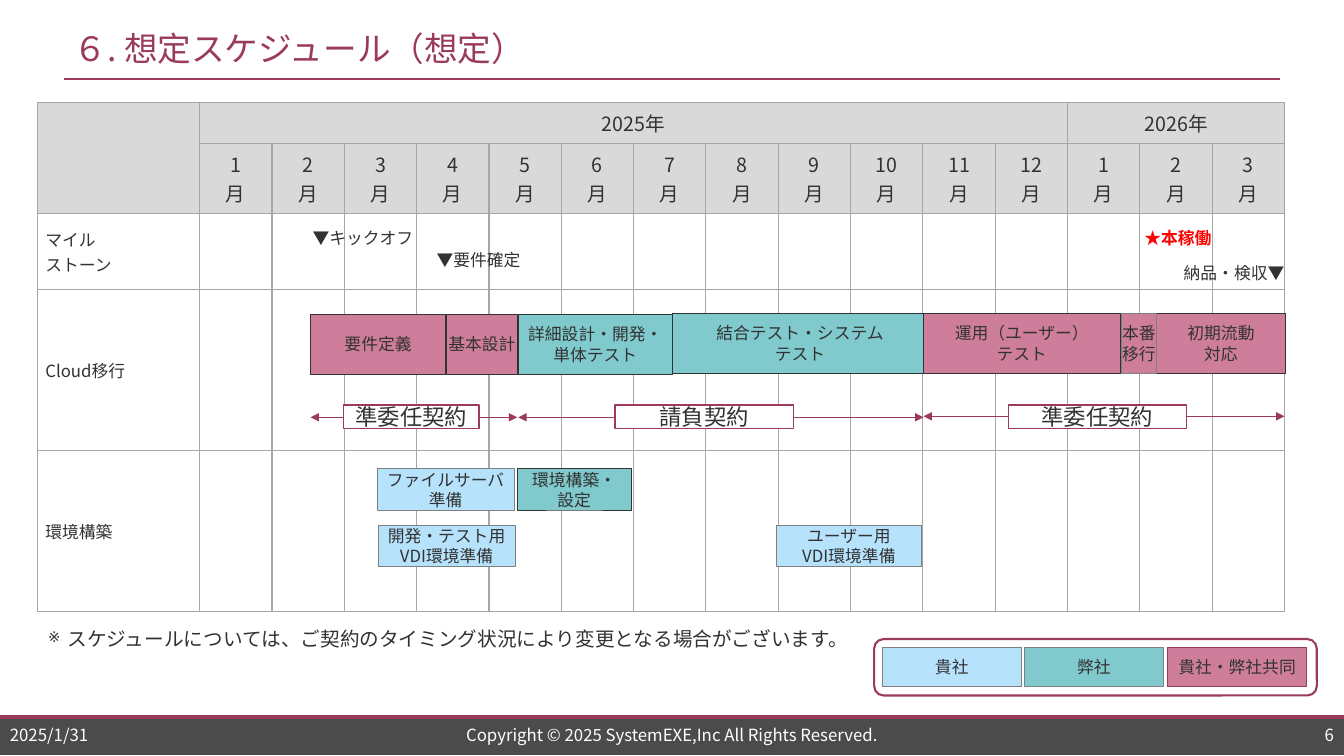
"""Builds the project schedule slide: month grid, phase bars, contract spans and legend."""
import dataclasses

import lxml.etree
import pptx
import pptx.dml.color
import pptx.enum.shapes
import pptx.enum.text
import pptx.oxml.ns
import pptx.util

Inches = pptx.util.Inches
Pt = pptx.util.Pt
RGB = pptx.dml.color.RGBColor.from_string
qn = pptx.oxml.ns.qn
SHAPE = pptx.enum.shapes.MSO_SHAPE
ALIGN = pptx.enum.text.PP_ALIGN
ANCHOR = pptx.enum.text.MSO_ANCHOR


@dataclasses.dataclass(frozen=True)
class Theme:
    font: str = "Noto Sans CJK JP"
    contract_font: str = "Calibri"
    accent: str = "9A3B5D"
    ink: str = "323232"
    white: str = "FFFFFF"
    red: str = "FF0000"
    grey: str = "808080"
    grid: str = "A6A6A6"
    header: str = "D9D9D9"
    footer: str = "4B4B4B"
    client: str = "B6E2FC"
    vendor: str = "80C9CC"
    joint: str = "CE7E9B"
    title: int = 24
    contract: int = 16
    body: int = 14
    small: int = 12


theme = Theme()


def write(tf, text, size=theme.small, color=theme.ink, align=ALIGN.LEFT,
          margins=None, name=theme.font, bold=False, anchor=ANCHOR.MIDDLE):
    frame = {"word_wrap": True, "vertical_anchor": anchor}
    if margins:
        sides = ("margin_left", "margin_top", "margin_right", "margin_bottom")
        frame.update(zip(sides, map(Inches, margins)))
    for key, value in frame.items():
        setattr(tf, key, value)
    for i, line in enumerate(text.split("\n")):
        p = tf.add_paragraph() if i else tf.paragraphs[0]
        p.alignment = align
        r = p.add_run()
        r.text = line
        for key, value in {"name": name, "size": Pt(size), "bold": bold}.items():
            setattr(r.font, key, value)
        r.font.color.rgb = RGB(color)
        lxml.etree.SubElement(r.font._element, qn("a:ea"), typeface=theme.font)


def block(at, fill, line, width=0.5, kind=SHAPE.RECTANGLE):
    sp = s.shapes.add_shape(kind, *map(Inches, at))
    sp.shadow.inherit = False
    for part, color in ((sp.fill, fill), (sp.line.fill, line)):
        if color:
            part.solid()
            part.fore_color.rgb = RGB(color)
        else:
            part.background()
    if line:
        sp.line.width = Pt(width)
    if kind == SHAPE.PENTAGON:
        sp.adjustments[0] = 0
    return sp


prs = pptx.Presentation()
prs.slide_width, prs.slide_height = Inches(13.33), Inches(7.5)
s = prs.slides.add_slide(prs.slide_layouts[5])

title = s.shapes.title
for key, value in zip(("left", "top", "width", "height"), (0.63, 0.2, 12.07, 0.55)):
    setattr(title, key, Inches(value))
write(title.text_frame, "６. 想定スケジュール（想定）", theme.title, theme.accent)
title.text_frame.word_wrap = False

block((0, 7.1, 13.33, 0.39), theme.footer, None)

table_width, first_width = 12.37, 1.61
row_heights = (0.4, 0.7, 0.75, 1.6, 1.6)
months = [*range(1, 13), *range(1, 4)]
frame = s.shapes.add_table(len(row_heights), len(months) + 1,
                           *map(Inches, (0.37, 1.02, table_width, sum(row_heights))))
table = frame.table
table.first_row = table.horz_banding = False
for i, col in enumerate(table.columns):
    col.width = Inches((table_width - first_width) / len(months) if i else first_width)
for row, height in zip(table.rows, row_heights):
    row.height = Inches(height)

labels = {(0, 1): "2025年", (0, 13): "2026年", (2, 0): "マイル\nストーン",
          (3, 0): "Cloud移行", (4, 0): "環境構築"}
labels.update({(1, i): f"{month}\n月" for i, month in enumerate(months, 1)})
for i, row in enumerate(table.rows):
    for j, cell in enumerate(row.cells):
        tc_pr = cell._tc.get_or_add_tcPr()
        for side in ("lnL", "lnR", "lnT", "lnB"):
            ln = lxml.etree.SubElement(tc_pr, qn(f"a:{side}"), w=str(Pt(1)))
            fill = lxml.etree.SubElement(ln, qn("a:solidFill"))
            lxml.etree.SubElement(fill, qn("a:srgbClr"), val=theme.grid)
        if i < 2:
            cell.fill.solid()
            cell.fill.fore_color.rgb = RGB(theme.header)
        else:
            cell.fill.background()
        sides = {"margin_left": 0 if i < 2 else 0.08, "margin_right": 0,
                 "margin_top": 0.04, "margin_bottom": 0.04}
        for key, value in sides.items():
            setattr(cell, key, Inches(value))
        cell.vertical_anchor = ANCHOR.MIDDLE
        if (i, j) in labels:
            write(cell.text_frame, labels[i, j], theme.body if i < 2 else theme.small,
                  align=ALIGN.CENTER if i < 2 else ALIGN.LEFT)
for start, end in (((0, 0), (1, 0)), ((0, 1), (0, 12)), ((0, 13), (0, 15))):
    table.cell(*start).merge(table.cell(*end))

milestones = [
    (3.08, 2.24, 1.13, "▼キックオフ", theme.ink),
    (4.31, 2.46, 0.95, "▼要件確定", theme.ink),
    (11.72, 2.59, 1.13, "納品・検収▼", theme.ink),
    (11.33, 2.24, 0.78, "★本稼働", theme.red),
]
for x, y, w, text, color in milestones:
    sp = s.shapes.add_textbox(*map(Inches, (x, y, w, 0.24)))
    write(sp.text_frame, text, color=color, margins=(0.02,) * 4,
          bold=color == theme.red, anchor=ANCHOR.TOP)

bars = [
    (3.08, 3.12, 1.34, 0.59, theme.joint, theme.ink, "要件定義"),
    (5.14, 3.12, 1.53, 0.59, theme.vendor, theme.ink, "詳細設計・開発・\n単体テスト"),
    (6.67, 3.11, 2.53, 0.59, theme.vendor, theme.ink, "結合テスト・システム\nテスト"),
    (4.43, 3.12, 0.7, 0.59, theme.joint, theme.ink, "基本設計"),
    (11.47, 3.11, 1.28, 0.59, theme.joint, theme.ink, "初期流動\n対応"),
    (9.16, 3.11, 1.95, 0.59, theme.joint, theme.ink, "運用（ユーザー）\nテスト"),
    (11.12, 3.11, 0.35, 0.59, theme.joint, theme.grey, "本番\n移行"),
    (5.13, 4.65, 1.13, 0.41, theme.vendor, theme.ink, "環境構築・\n設定"),
]
for *at, fill, line, text in bars:
    sp = block(at, fill, line)
    write(sp.text_frame, text, align=ALIGN.CENTER, margins=(0, 0.04, 0, 0.04))

block((8.67, 6.34, 4.39, 0.56), None, theme.accent, 1.5, SHAPE.ROUNDED_RECTANGLE)
plates = [
    (3.74, 4.65, 1.36, 0.41, theme.client, theme.grey, "ファイルサーバ\n準備"),
    (3.75, 5.21, 1.36, 0.41, theme.client, theme.grey, "開発・テスト用\nVDI環境準備"),
    (7.7, 5.21, 1.44, 0.41, theme.client, theme.grey, "ユーザー用\nVDI環境準備"),
    (8.75, 6.42, 1.38, 0.39, theme.client, theme.grey, "貴社"),
    (10.16, 6.42, 1.38, 0.39, theme.vendor, theme.grey, "弊社"),
    (11.58, 6.42, 1.38, 0.39, theme.joint, theme.accent, "貴社・弊社共同"),
]
for *at, fill, line, text in plates:
    sp = block(at, fill, line, kind=SHAPE.PENTAGON)
    write(sp.text_frame, text, align=ALIGN.CENTER, margins=(0, 0.05, 0, 0.05))

lines = [
    (0, 13.33, 7.11, 2.75, False),
    (0.63, 12.7, 0.78, 1.5, False),
    (3.08, 5.13, 4.14, 0.5, True),
    (5.14, 9.16, 4.14, 0.5, True),
    (9.16, 12.74, 4.13, 0.5, True),
]
for x1, x2, y, width, arrows in lines:
    cx = s.shapes.add_connector(pptx.enum.shapes.MSO_CONNECTOR.STRAIGHT,
                                *map(Inches, (x1, y, x2, y)))
    cx.line.color.rgb = RGB(theme.accent)
    cx.line.width = Pt(width)
    if arrows:
        for end in ("headEnd", "tailEnd"):
            lxml.etree.SubElement(cx.line._get_or_add_ln(), qn(f"a:{end}"), type="triangle")
    lxml.etree.SubElement(cx._element.spPr, qn("a:effectLst"))

for x, w, text in ((3.41, 1.34, "準委任契約"), (6.1, 1.77, "請負契約"), (10, 1.77, "準委任契約")):
    sp = block((x, 4.02, w, 0.23), theme.white, theme.accent, 1)
    write(sp.text_frame, text, theme.contract, align=ALIGN.CENTER, name=theme.contract_font)

note = s.shapes.add_textbox(*map(Inches, (0.38, 6.17, 8.89, 0.38)))
p_pr = note.text_frame.paragraphs[0]._p.get_or_add_pPr()
for key, value in {"marL": 0.19, "indent": -0.19}.items():
    p_pr.set(key, str(Inches(value)))
lxml.etree.SubElement(p_pr, qn("a:buSzPct"), val="75000")
lxml.etree.SubElement(p_pr, qn("a:buChar"), char="※")
write(note.text_frame, "スケジュールについては、ご契約のタイミング状況により変更となる場合がございます。",
      theme.body, anchor=ANCHOR.TOP)

footers = [
    (0, 1.57, "2025/1/31", ALIGN.LEFT),
    (3.32, 6.69, "Copyright © 2025 SystemEXE,Inc All Rights Reserved.", ALIGN.CENTER),
    (11.76, 1.57, "6", ALIGN.RIGHT),
]
for x, w, text, align in footers:
    sp = s.shapes.add_textbox(*map(Inches, (x, 7.17, w, 0.24)))
    write(sp.text_frame, text, color=theme.white, align=align)

prs.save("out.pptx")
